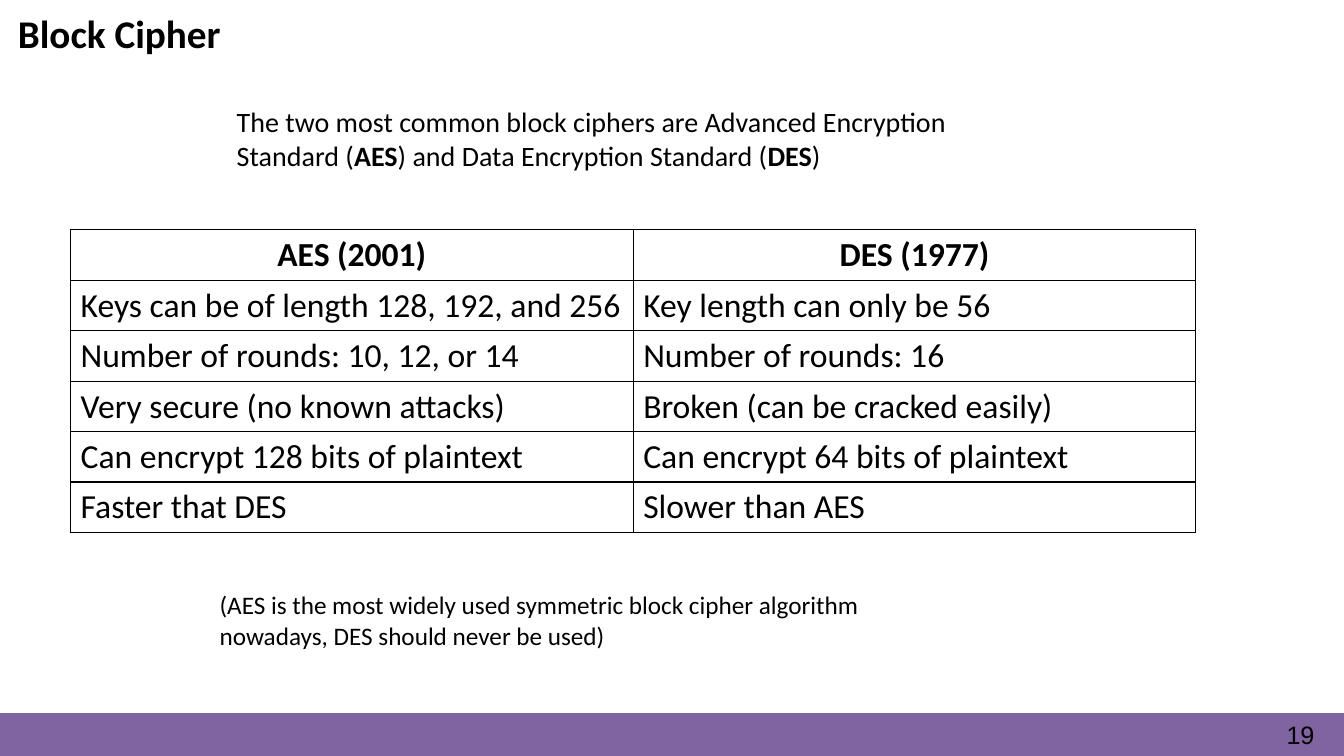
from pptx import Presentation
from pptx.dml.color import RGBColor
from pptx.enum.shapes import MSO_SHAPE
from pptx.enum.text import MSO_AUTO_SIZE, PP_ALIGN
from pptx.oxml import parse_xml
from pptx.oxml.ns import nsdecls
from pptx.util import Pt

PX = 9144  # EMU in one px, 100 px to the inch
THEME = {
    "ink": RGBColor(0, 0, 0),
    "paper": RGBColor(255, 255, 255),
    "band": RGBColor(0x80, 0x63, 0xA1),
    "font": "Calibri",
    "digit": "Arial",
    "title": 28,
    "lead": 20,
    "cell": 24,
    "note": 18,
}


def write(para, text, size, bold=False, font=THEME["font"]):
    run = para.add_run()
    run.text = text
    run.font.name = font
    run.font.size = Pt(size)
    run.font.bold = bold
    run.font.color.rgb = THEME["ink"]
    return run


def add_box(*place):
    frame = slide.shapes.add_textbox(*(n * PX for n in place)).text_frame
    frame.word_wrap = True
    frame.auto_size = MSO_AUTO_SIZE.SHAPE_TO_FIT_TEXT
    return frame


deck = Presentation()
deck.slide_width = 1333 * PX
deck.slide_height = 750 * PX
slide = deck.slides.add_slide(deck.slide_layouts[6])

# Footer band
band = slide.shapes.add_shape(MSO_SHAPE.RECTANGLE, 0, 708 * PX, 1333 * PX, 42 * PX)
band.shadow.inherit = False
band.fill.solid()
band.fill.fore_color.rgb = THEME["band"]
band.line.color.rgb = THEME["band"]
band.line.width = Pt(1)

# Page number
page = add_box(1258, 715, 71, 31)
page.margin_left = page.margin_right = page.margin_top = page.margin_bottom = 0
para = page.paragraphs[0]
para.line_spacing = Pt(20.9)
para._p.get_or_add_pPr().set("marL", str(18 * PX))
run = write(para, "19", THEME["note"], font=THEME["digit"])
run.font._element.set("spc", "-10")

# Title
title = add_box(8, 4, 263, 57)
title.word_wrap = False
write(title.paragraphs[0], "Block Cipher", THEME["title"], True)

# Lead text
lead = add_box(225, 99, 806, 77).paragraphs[0]
for text, bold in [
    ("The two most common block ciphers are Advanced Encryption Standard (", False),
    ("AES", True),
    (") and Data Encryption Standard (", False),
    ("DES", True),
    (")", False),
]:
    write(lead, text, THEME["lead"], bold)

# Comparison table
rows = [
    ("AES (2001)", "DES (1977)"),
    ("Keys can be of length 128, 192, and 256", "Key length can only be 56"),
    ("Number of rounds: 10, 12, or 14", "Number of rounds: 16"),
    ("Very secure (no known attacks)", "Broken (can be cracked easily)"),
    ("Can encrypt 128 bits of plaintext", "Can encrypt 64 bits of plaintext"),
    ("Faster that DES", "Slower than AES"),
]
grid = slide.shapes.add_table(
    len(rows), 2, 70 * PX, 228 * PX, 1116 * PX, 50 * len(rows) * PX
).table
grid.first_row = grid.horz_banding = False
for r, row in enumerate(rows):
    for c, text in enumerate(row):
        cell = grid.cell(r, c)
        cell.fill.solid()
        cell.fill.fore_color.rgb = THEME["paper"]
        para = cell.text_frame.paragraphs[0]
        para.alignment = PP_ALIGN.CENTER if r == 0 else PP_ALIGN.LEFT
        write(para, text, THEME["cell"], r == 0)
        # Borders go ahead of the fill
        for i, side in enumerate(("lnL", "lnR", "lnT", "lnB")):
            edge = parse_xml(
                f'<a:{side} {nsdecls("a")} w="{Pt(1)}"><a:solidFill>'
                f'<a:srgbClr val="{THEME["ink"]}"/></a:solidFill></a:{side}>'
            )
            cell._tc.get_or_add_tcPr().insert(i, edge)

# Closing note
note = add_box(208, 580, 700, 71)
write(
    note.paragraphs[0],
    "(AES is the most widely used symmetric block cipher algorithm "
    "nowadays, DES should never be used)",
    THEME["note"],
)

deck.save("out.pptx")
